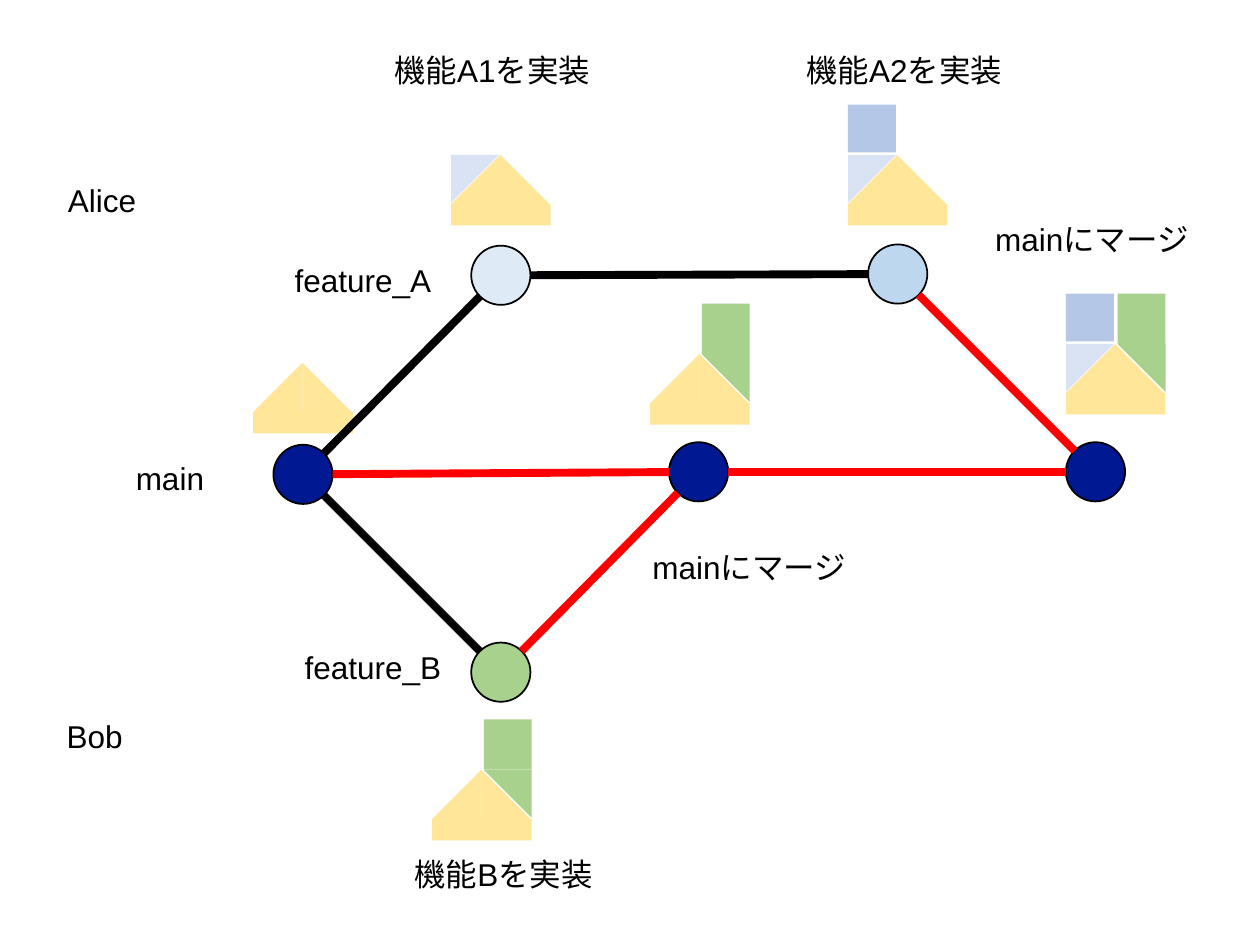
from math import hypot
from pptx import Presentation, util as u
from pptx.dml.color import RGBColor
from pptx.enum import shapes, text
from pptx.oxml.ns import qn
from lxml import etree

Inches = u.Inches
RECT = shapes.MSO_SHAPE.RECTANGLE
TRI = shapes.MSO_SHAPE.RIGHT_TRIANGLE
OVAL = shapes.MSO_SHAPE.OVAL
hues = {
    "black": "000000", "red": "FF0000", "navy": "011893",
    "ice": "DEEBF7", "sky": "BDD7EE", "green": "A9D18E",
    "sand": "FFE699", "pale": "DAE3F3", "blue": "B4C7E7",
}


def color(name):
    return RGBColor.from_string(hues[name])


def draw(owner, kind, box, fill):
    shape = owner.add_shape(kind, *map(Inches, box))
    shape.shadow.inherit = False
    shape.fill.solid()
    shape.fill.fore_color.rgb = color(fill)
    shape.line.fill.background()
    return shape


deck = Presentation()
deck.slide_width, deck.slide_height = Inches(10), Inches(7.5)
slide = deck.slides.add_slide(deck.slide_layouts[6])

size = 0.47
nodes = {
    "start": (2.17, 3.53, "navy"), "A1": (3.74, 1.95, "ice"),
    "A2": (6.89, 1.94, "sky"), "B": (3.74, 5.1, "green"),
    "mid": (5.31, 3.51, "navy"), "end": (8.46, 3.51, "navy"),
}
for x, y, fill in nodes.values():
    dot = draw(slide.shapes, OVAL, (x, y, size, size), fill)
    dot.line.color.rgb = color("black")
    dot.line.width = u.Pt(1)

parts = {
    "base": (RECT, 0, 0.39, 0.79, 0.17, "sand", 0, False),
    "right": (TRI, 0.39, 0, 0.39, 0.39, "sand", 0, False),
    "left": (TRI, 0, 0, 0.39, 0.39, "sand", 0, True),
    "A1": (TRI, 0, 0, 0.38, 0.38, "pale", 180, True),
    "A2": (RECT, 0, -0.4, 0.38, 0.38, "blue", 0, False),
    "B1": (TRI, 0.41, 0, 0.38, 0.38, "green", 180, False),
    "B2": (RECT, 0.41, -0.4, 0.38, 0.4, "green", 0, False),
}
core = ["base", "right", "left"]
homes = [
    (2.01, 2.88, []), (3.43, 6.11, ["B1", "B2"]), (3.58, 1.23, ["A1"]),
    (5.16, 2.81, ["B1", "B2"]), (6.73, 1.23, ["A1", "A2"]),
    (8.46, 2.73, ["B1", "A1", "B2", "A2"]),
]
for left, top, extra in homes:
    group = slide.shapes.add_group_shape()
    for name in core + extra:
        kind, x, y, wide, high, fill, turn, flip = parts[name]
        piece = draw(group.shapes, kind, (left + x, top + y, wide, high), fill)
        piece.rotation = turn
        if flip:
            piece._element.spPr.find(qn("a:xfrm")).set("flipH", "1")

edges = [
    ("start", "A1", "black"), ("mid", "B", "red"), ("start", "B", "black"),
    ("A2", "A1", "black"), ("mid", "end", "red"), ("A2", "end", "red"),
    ("start", "mid", "red"),
]
half = size / 2
for tail, head, hue in edges:
    x1, y1 = (v + half for v in nodes[tail][:2])
    x2, y2 = (v + half for v in nodes[head][:2])
    gap = half / hypot(x2 - x1, y2 - y1)
    dx, dy = (x2 - x1) * gap, (y2 - y1) * gap
    ends = (x1 + dx, y1 + dy, x2 - dx, y2 - dy)
    edge = slide.shapes.add_connector(shapes.MSO_CONNECTOR.STRAIGHT, *map(Inches, ends))
    edge.line.color.rgb = color(hue)
    edge.line.width = u.Pt(4.5)
    etree.SubElement(edge._element.spPr, qn("a:effectLst"))

labels = [
    (0.44, 1.39, 0.87, "Alice"), (0.43, 5.64, 0.87, "Bob"),
    (0.98, 3.59, 1.1, "main"), (2.24, 2.02, 1.34, "feature_A"),
    (2.32, 5.09, 1.34, "feature_B"), (3.03, 0.36, 1.77, "機能A1を実装"),
    (6.3, 0.36, 1.77, "機能A2を実装"), (3.19, 6.74, 1.63, "機能Bを実装"),
    (5.08, 4.3, 1.76, "mainにマージ"), (7.8, 1.7, 1.76, "mainにマージ"),
]
style = {"name": "Arial", "size": u.Pt(18)}
for x, y, wide, words in labels:
    frame = slide.shapes.add_textbox(*map(Inches, (x, y, wide, 0.4))).text_frame
    frame.word_wrap = True
    frame.auto_size = text.MSO_AUTO_SIZE.SHAPE_TO_FIT_TEXT
    run = frame.paragraphs[0].add_run()
    run.text = words
    for key, value in style.items():
        setattr(run.font, key, value)
    run.font.color.rgb = color("black")

deck.save("out.pptx")
